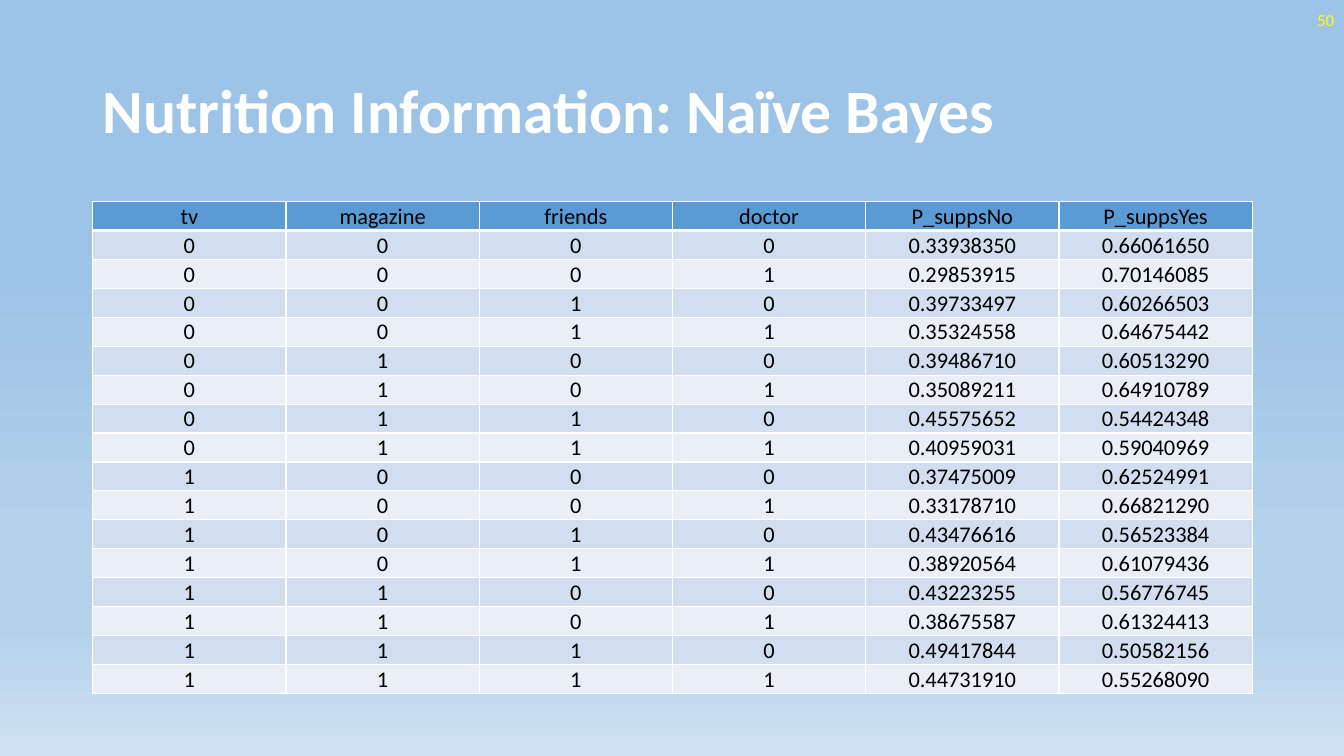
"""Build the Naïve Bayes nutrition information slide."""
import itertools

import pptx
import pptx.dml.color
import pptx.enum.text
import pptx.oxml
import pptx.oxml.ns
import pptx.util
from pptx.util import Inches

TITLE = "Nutrition Information: Naïve Bayes"
PAGE_NUMBER = "50"
HEADERS = ["tv", "magazine", "friends", "doctor", "P_suppsNo", "P_suppsYes"]
NO_PROBABILITIES = [
    0.33938350, 0.29853915, 0.39733497, 0.35324558,
    0.39486710, 0.35089211, 0.45575652, 0.40959031,
    0.37475009, 0.33178710, 0.43476616, 0.38920564,
    0.43223255, 0.38675587, 0.49417844, 0.44731910,
]
COLORS = {
    "title": "FFFFFF", "number": "FFFF00", "text": "000000", "border": "FFFFFF",
    "header": "5B9BD5", "odd": "D2DEEF", "even": "EAEFF7",
}
BACKGROUND_STOPS = [(35, "9DC3E6"), (74, "B5D2EC"), (83, "B5D2EC"), (100, "CEE1F2")]
FONT = "Calibri"
ALIGN = pptx.enum.text.PP_ALIGN
MIDDLE = pptx.enum.text.MSO_ANCHOR.MIDDLE


def add_run(para, text, size, color, align, bold=False):
    para.alignment = align
    span = para.add_run()
    span.text = text
    span.font.name = FONT
    span.font.size = pptx.util.Pt(size)
    span.font.bold = bold
    span.font.color.rgb = pptx.dml.color.RGBColor.from_string(COLORS[color])


def paint_background(page):
    fill = page.background.fill
    fill.gradient()
    fill.gradient_angle = 270
    stops = next(page.element.iter(pptx.oxml.ns.qn("a:gsLst")))
    for stop in list(stops):
        stops.remove(stop)
    for percent, color in BACKGROUND_STOPS:
        stops.append(pptx.oxml.parse_xml(
            f'<a:gs {pptx.oxml.ns.nsdecls("a")} pos="{percent * 1000}">'
            f'<a:srgbClr val="{color}"/></a:gs>'))


def add_borders(cell, row):
    widths = {"L": 1, "R": 1, "T": 3 if row == 1 else 1, "B": 3 if row == 0 else 1}
    properties = cell._tc.get_or_add_tcPr()
    for side, points in widths.items():
        properties.append(pptx.oxml.parse_xml(
            f'<a:ln{side} {pptx.oxml.ns.nsdecls("a")} w="{points * 12700}">'
            f'<a:solidFill><a:srgbClr val="{COLORS["border"]}"/></a:solidFill>'
            f'</a:ln{side}>'))


def add_probability_table(page):
    answers = itertools.product("01", repeat=4)
    rows = [HEADERS] + [
        [*answer, f"{no:.8f}", f"{1 - no:.8f}"]
        for answer, no in zip(answers, NO_PROBABILITIES)
    ]
    table = page.shapes.add_table(
        len(rows), len(HEADERS), Inches(0.92), Inches(2), Inches(11.5), Inches(4.88)).table
    for row, values in enumerate(rows):
        table.rows[row].height = Inches(4.88 / len(rows))
        shade = "header" if row == 0 else "odd" if row % 2 else "even"
        for column, value in enumerate(values):
            cell = table.cell(row, column)
            cell.margin_left = cell.margin_right = cell.margin_top = Inches(0.01)
            cell.margin_bottom = 0
            cell.vertical_anchor = MIDDLE
            add_borders(cell, row)
            cell.fill.solid()
            cell.fill.fore_color.rgb = pptx.dml.color.RGBColor.from_string(COLORS[shade])
            add_run(cell.text_frame.paragraphs[0], value, 16, "text", ALIGN.CENTER)


def main():
    deck = pptx.Presentation()
    deck.slide_width, deck.slide_height = Inches(13.33), Inches(7.5)
    page = deck.slides.add_slide(deck.slide_layouts[5])
    paint_background(page)

    title = page.shapes.title
    title.left, title.top = Inches(0.92), Inches(0.4)
    title.width, title.height = Inches(11.5), Inches(1.45)
    title.text_frame.vertical_anchor = MIDDLE
    title.text_frame.auto_size = pptx.enum.text.MSO_AUTO_SIZE.NONE
    para = title.text_frame.paragraphs[0]
    para.line_spacing = 0.9
    add_run(para, TITLE, 44, "title", ALIGN.LEFT, bold=True)

    number = page.shapes.add_textbox(Inches(10.33), 0, Inches(3), Inches(0.4))
    number.text_frame.word_wrap = True
    number.text_frame.vertical_anchor = MIDDLE
    add_run(number.text_frame.paragraphs[0], PAGE_NUMBER, 12, "number", ALIGN.RIGHT)

    add_probability_table(page)
    deck.save("out.pptx")


if __name__ == "__main__":
    main()
